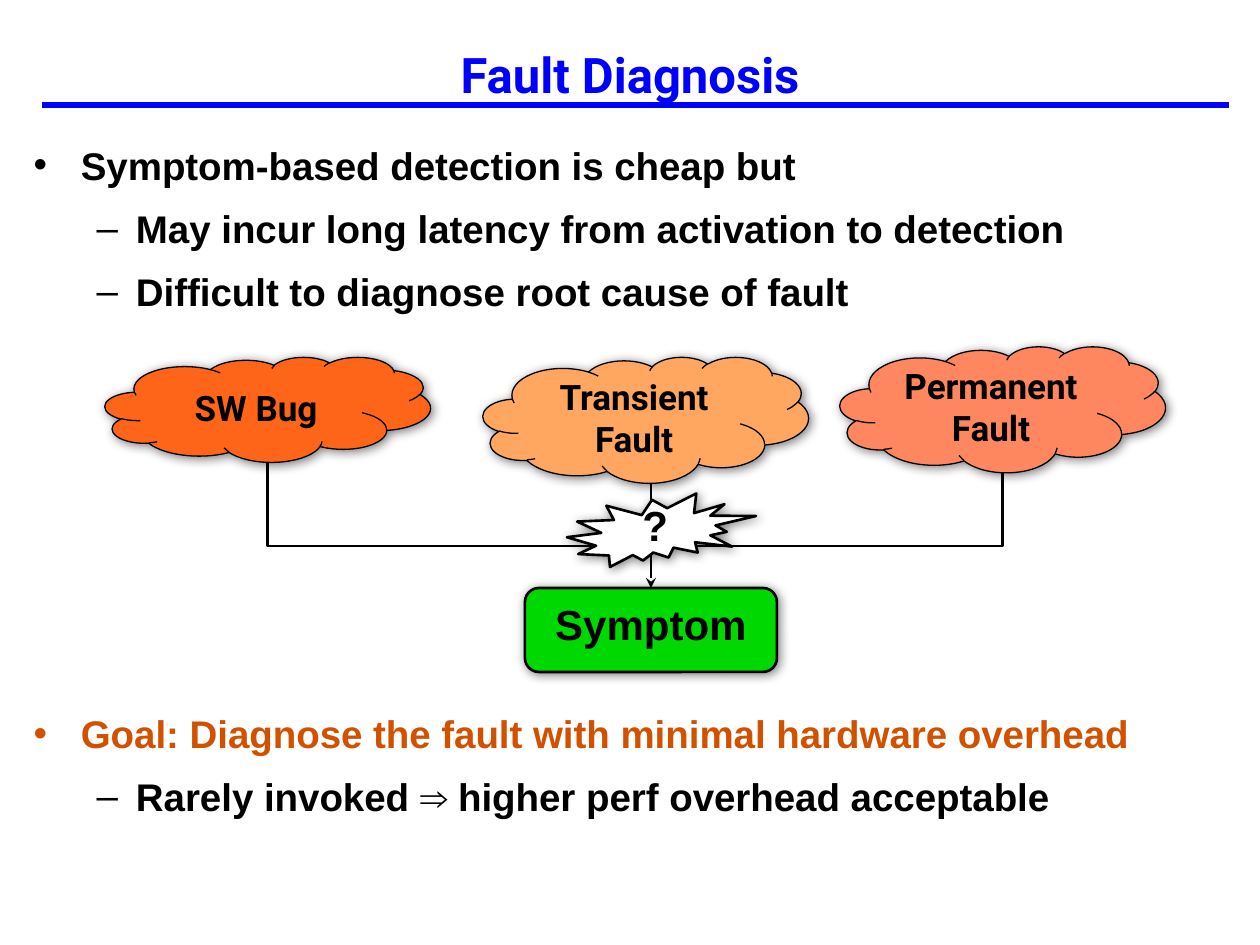
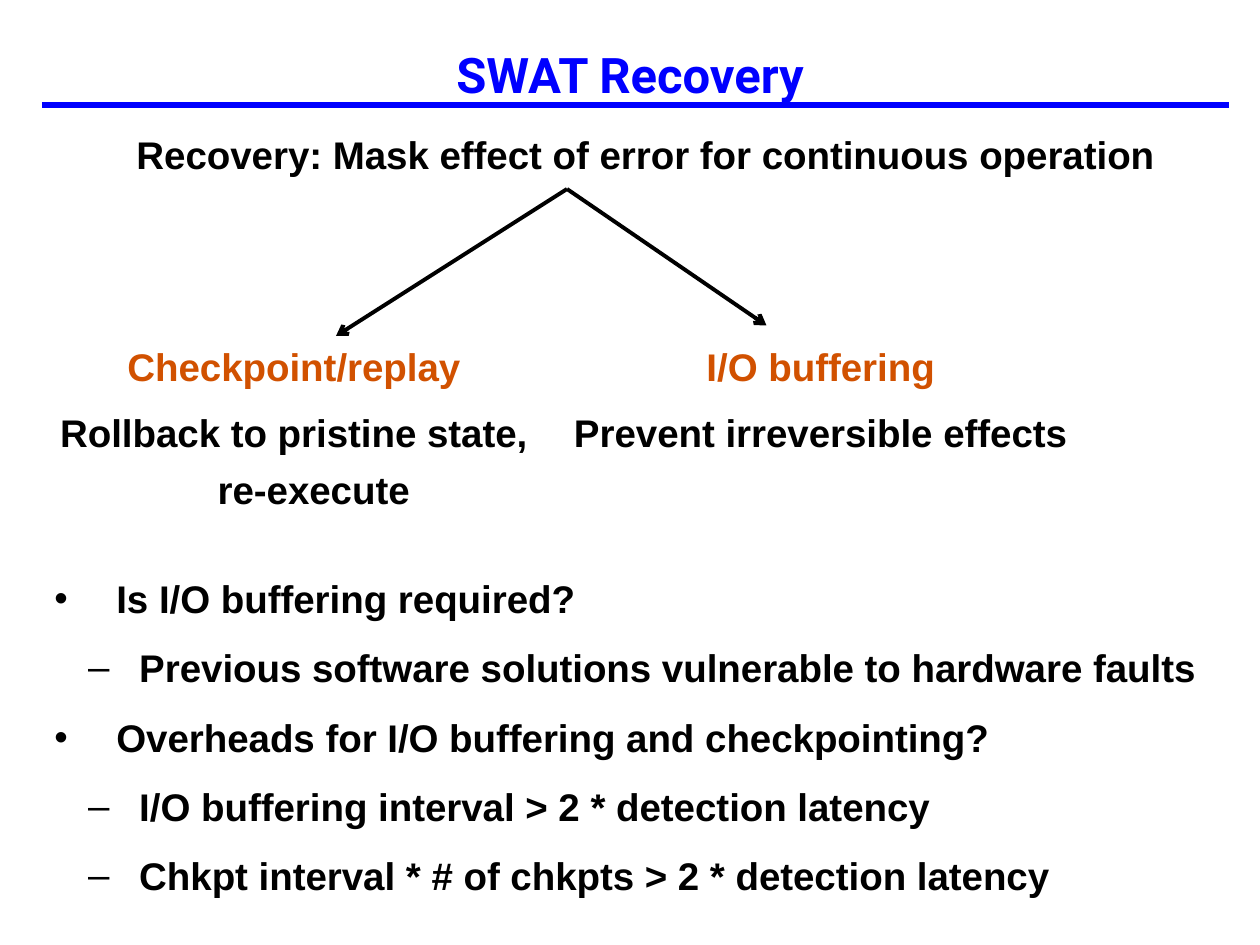
from dataclasses import dataclass

import lxml.etree
import pptx
import pptx.dml.color
import pptx.enum.shapes
import pptx.enum.text
import pptx.oxml.ns
import pptx.util

Pt = pptx.util.Pt
RGBColor = pptx.dml.color.RGBColor
Align = pptx.enum.text.PP_ALIGN
Anchor = pptx.enum.text.MSO_ANCHOR
Preset = pptx.enum.shapes.MSO_SHAPE
Connector = pptx.enum.shapes.MSO_CONNECTOR
qn = pptx.oxml.ns.qn

BLUE = RGBColor(0x00, 0x00, 0xFF)
BLACK = RGBColor(0x00, 0x00, 0x00)
WHITE = RGBColor(0xFF, 0xFF, 0xFF)
RUST = RGBColor(0xD1, 0x51, 0x00)
SW_ORANGE = RGBColor(0xFF, 0x65, 0x18)
TRANSIENT_ORANGE = RGBColor(0xFF, 0xA6, 0x61)
PERMANENT_CORAL = RGBColor(0xFF, 0x87, 0x5F)
SYMPTOM_GREEN = RGBColor(0x00, 0xD8, 0x02)

HEADING_FONT = "Roboto"
BODY_FONT = "Arial"
BODY_SIZE = 22
PARAGRAPH_GAP = 4.4


@dataclass(frozen=True)
class Box:
    left: float
    top: float
    width: float
    height: float

    def lengths(self) -> tuple:
        return Pt(self.left), Pt(self.top), Pt(self.width), Pt(self.height)


@dataclass(frozen=True)
class Line:
    text: str
    level: int = 0
    bullet: str = ""
    color: RGBColor = BLACK
    gap: float = PARAGRAPH_GAP


@dataclass(frozen=True)
class ListStyle:
    margins: tuple
    hangings: tuple
    spacing: float
    align: Align = Align.LEFT


@dataclass(frozen=True)
class Node:
    preset: Preset
    box: Box
    fill: RGBColor
    outline: float
    text: str = ""
    font: str = HEADING_FONT
    size: float = 20
    anchor: Anchor = Anchor.MIDDLE


FAULT_LIST = ListStyle((27, 58.5), (27, 22.5), 1.2)
RECOVERY_STATEMENT = ListStyle((27,), (27,), 1.2, Align.CENTER)
RECOVERY_COLUMN = ListStyle((22.5,), (22.5,), 1.25, Align.CENTER)
QUESTION_LIST = ListStyle((35.4, 48.5), (35.4, 29.2), 1.5)


def format_runs(paragraph, font: str, size: float, color: RGBColor) -> None:
    for run in paragraph.runs:
        run.font.name = font
        run.font.size = Pt(size)
        run.font.bold = True
        run.font.color.rgb = color


def write_lines(frame, lines: list[Line], style: ListStyle) -> None:
    frame.word_wrap = True
    frame.auto_size = pptx.enum.text.MSO_AUTO_SIZE.NONE
    frame.vertical_anchor = Anchor.TOP
    frame.text = "\n".join(line.text for line in lines)
    for index, (paragraph, line) in enumerate(zip(frame.paragraphs, lines)):
        properties = paragraph._p.get_or_add_pPr()
        properties.set("marL", str(Pt(style.margins[line.level])))
        properties.set("indent", str(-Pt(style.hangings[line.level])))
        if line.bullet:
            bullet_font = lxml.etree.SubElement(properties, qn("a:buFont"))
            bullet_font.set("typeface", BODY_FONT)
            bullet = lxml.etree.SubElement(properties, qn("a:buChar"))
            bullet.set("char", line.bullet)
        else:
            lxml.etree.SubElement(properties, qn("a:buNone"))
        paragraph.level = line.level
        paragraph.alignment = style.align
        paragraph.line_spacing = style.spacing
        paragraph.space_before = Pt(line.gap if index else 0)
        paragraph.space_after = Pt(0)
        format_runs(paragraph, BODY_FONT, BODY_SIZE, line.color)


def place(shape, box: Box) -> None:
    shape.left, shape.top, shape.width, shape.height = box.lengths()


def add_text(slide, box: Box, lines: list[Line], style: ListStyle) -> None:
    write_lines(slide.shapes.add_textbox(*box.lengths()).text_frame, lines, style)


def add_line(slide, start: tuple, end: tuple, weight: float,
             color: RGBColor = BLACK, arrowhead: str = "", bent: bool = False):
    kind = Connector.ELBOW if bent else Connector.STRAIGHT
    connector = slide.shapes.add_connector(kind, *map(Pt, start + end))
    connector.line.color.rgb = color
    connector.line.width = Pt(weight)
    properties = connector._element.spPr
    if bent:
        properties.find(qn("a:prstGeom")).set("prst", "bentConnector2")
    if arrowhead:
        tail = lxml.etree.SubElement(connector.line._get_or_add_ln(), qn("a:tailEnd"))
        tail.set("type", arrowhead)
    lxml.etree.SubElement(properties, qn("a:effectLst"))
    return connector


def add_halo(shape) -> None:
    shape.shadow.inherit = False
    effects = shape._element.spPr.find(qn("a:effectLst"))
    halo = lxml.etree.SubElement(effects, qn("a:outerShdw"))
    halo.set("blurRad", str(Pt(6)))
    halo.set("dist", str(Pt(1.5)))
    halo.set("dir", "2700000")
    halo.set("algn", "ctr")
    halo.set("rotWithShape", "0")
    shade = lxml.etree.SubElement(halo, qn("a:srgbClr"))
    shade.set("val", str(BLACK))
    lxml.etree.SubElement(shade, qn("a:alpha")).set("val", "50000")


def add_node(slide, node: Node):
    shape = slide.shapes.add_shape(node.preset, *node.box.lengths())
    shape.fill.solid()
    shape.fill.fore_color.rgb = node.fill
    shape.line.color.rgb = BLACK
    shape.line.width = Pt(node.outline)
    add_halo(shape)
    if node.text:
        frame = shape.text_frame
        frame.text = node.text
        frame.word_wrap = True
        frame.vertical_anchor = node.anchor
        frame.paragraphs[0].alignment = Align.CENTER
        format_runs(frame.paragraphs[0], node.font, node.size, BLACK)
    return shape


def add_titled_slide(deck, heading: str, body_box: Box, lines: list[Line], style: ListStyle):
    slide = deck.slides.add_slide(deck.slide_layouts[1])
    add_line(slide, (24, 60), (702, 60), 3, BLUE)
    title = slide.shapes.title
    place(title, Box(0, 12, 720, 60))
    title.text_frame.text = heading
    title.text_frame.vertical_anchor = Anchor.MIDDLE
    title.text_frame.paragraphs[0].alignment = Align.CENTER
    format_runs(title.text_frame.paragraphs[0], HEADING_FONT, 28, BLUE)
    body = slide.placeholders[1]
    place(body, body_box)
    write_lines(body.text_frame, lines, style)
    return slide


def build_fault_diagnosis(deck) -> None:
    slide = add_titled_slide(deck, "Fault Diagnosis", Box(12, 72, 696, 438), [
        Line("Symptom-based detection is cheap but", 0, "•"),
        Line("May incur long latency from activation to detection", 1, "–"),
        Line("Difficult to diagnose root cause of fault", 1, "–"),
        Line("Goal: Diagnose the fault with minimal hardware overhead", 0, "•", RUST, 221),
        Line("Rarely invoked ⇒ higher perf overhead acceptable", 1, "–"),
    ], FAULT_LIST)

    causes = [
        Node(Preset.CLOUD, Box(60, 204, 186, 60), SW_ORANGE, 0.75, "SW Bug"),
        Node(Preset.CLOUD, Box(276, 204, 186, 72), TRANSIENT_ORANGE, 0.75, "Transient Fault"),
        Node(Preset.CLOUD, Box(480, 198, 186, 72), PERMANENT_CORAL, 0.75, "Permanent Fault"),
    ]
    for cause in causes:
        add_node(slide, cause)
    symptom = add_node(slide, Node(Preset.ROUNDED_RECTANGLE, Box(300, 336, 144, 48),
                                   SYMPTOM_GREEN, 1.5, "Symptom", BODY_FONT, 24, Anchor.TOP))

    center = 372
    for cause in (causes[0], causes[2]):
        cloud_bottom = (cause.box.left + cause.box.width / 2, cause.box.top + cause.box.height)
        add_line(slide, (center, 312), cloud_bottom, 1.5, bent=True)
    arrow = add_line(slide, (center, 276), (center, 336), 1.5, arrowhead="stealth")
    arrow.end_connect(symptom, 0)

    add_node(slide, Node(Preset.EXPLOSION2, Box(324, 282, 108, 42), WHITE, 1.5))
    question = slide.shapes.add_textbox(*Box(360, 282, 29.5, 36).lengths()).text_frame
    question.text = "?"
    question.word_wrap = False
    format_runs(question.paragraphs[0], BODY_FONT, 24, BLACK)


def build_recovery(deck) -> None:
    slide = add_titled_slide(deck, "SWAT Recovery", Box(18, 66, 702, 42), [
        Line("Recovery: Mask effect of error for continuous operation"),
    ], RECOVERY_STATEMENT)

    for branch_end in ((192, 192), (438, 186)):
        add_line(slide, (324, 108), branch_end, 2.25, arrowhead="arrow")

    add_text(slide, Box(24, 312, 684, 205), [
        Line("Is I/O buffering required?", 0, "•", gap=0),
        Line("Previous software solutions vulnerable to hardware faults", 1, "–", gap=0),
        Line("Overheads for I/O buffering and checkpointing?", 0, "•", gap=0),
        Line("I/O buffering interval > 2 * detection latency", 1, "–", gap=0),
        Line("Chkpt interval * # of chkpts > 2 * detection latency", 1, "–", gap=0),
    ], QUESTION_LIST)

    columns = [
        (Box(12, 186, 312, 108), "Checkpoint/replay", "Rollback to pristine state, re-execute"),
        (Box(300, 186, 338, 120), "I/O buffering", "Prevent irreversible effects"),
    ]
    for box, technique, effect in columns:
        add_text(slide, box, [Line(technique, color=RUST), Line(effect)], RECOVERY_COLUMN)


def main() -> None:
    deck = pptx.Presentation()
    deck.slide_width = Pt(720)
    deck.slide_height = Pt(540)
    build_fault_diagnosis(deck)
    build_recovery(deck)
    deck.save("out.pptx")


if __name__ == "__main__":
    main()
